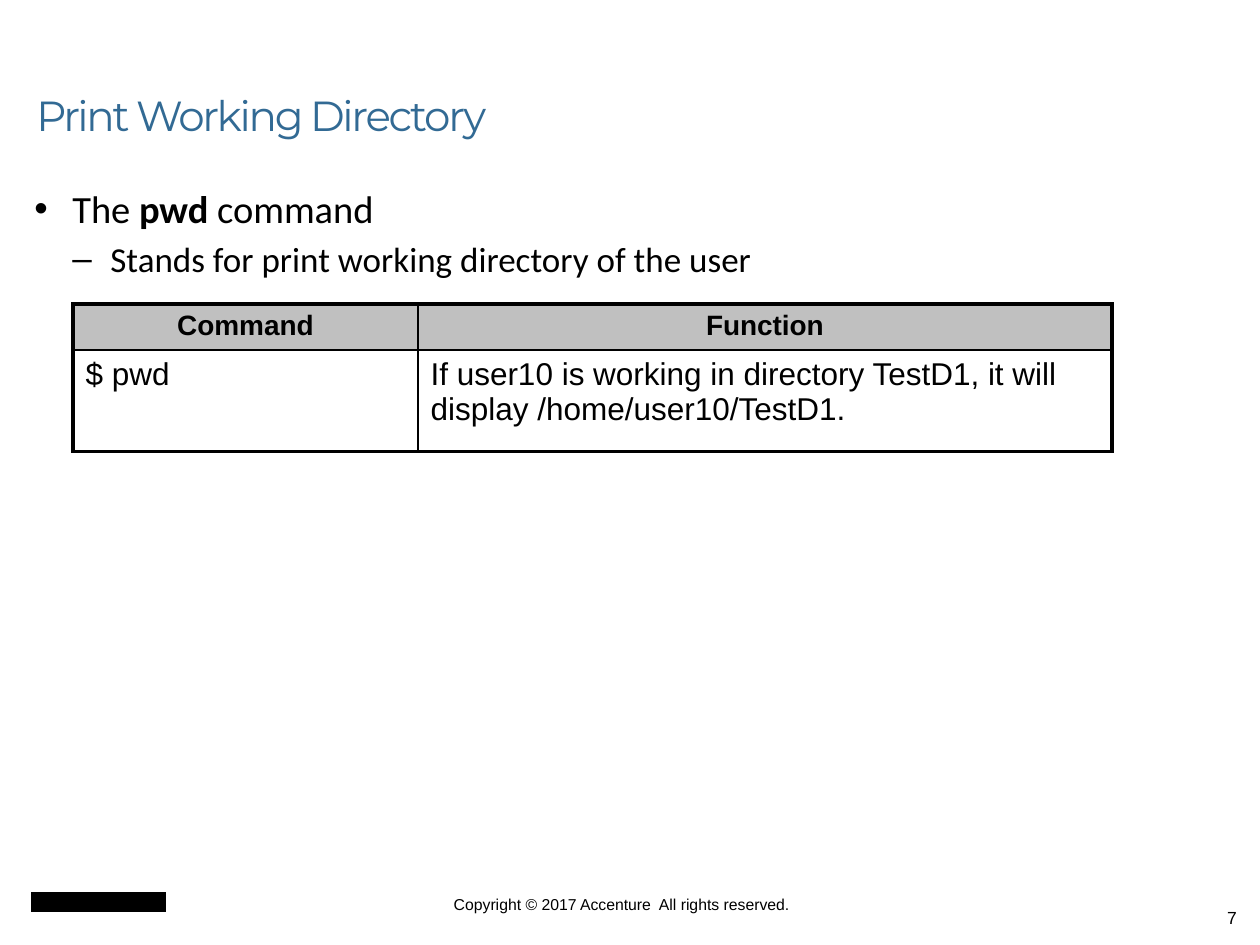
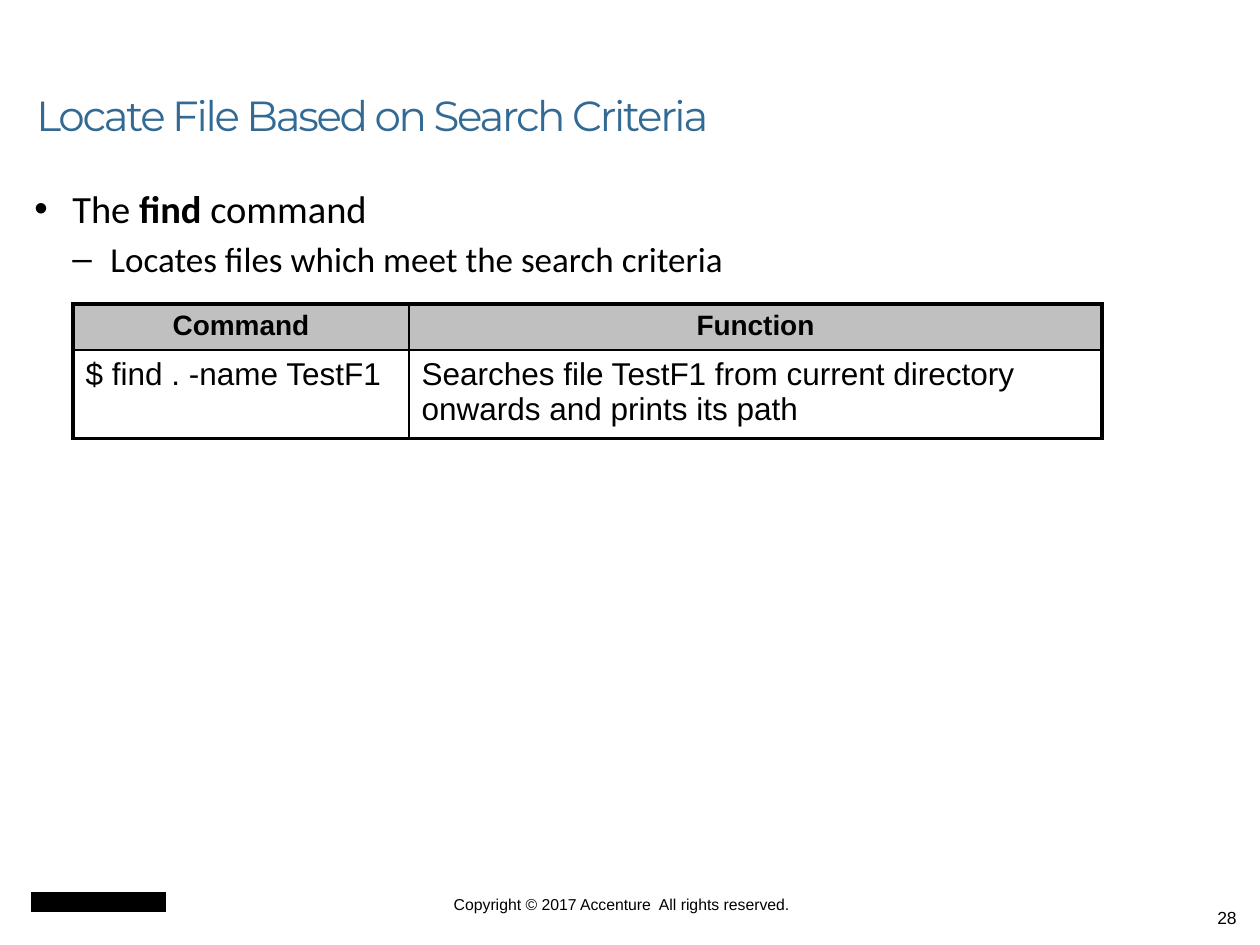
import dataclasses

import lxml.etree
import pptx
import pptx.dml.color
import pptx.enum.shapes
import pptx.enum.text
import pptx.oxml.ns
import pptx.util

PX = pptx.util.Inches(1) / 126
ALIGN = pptx.enum.text.PP_ALIGN
ANCHOR = pptx.enum.text.MSO_ANCHOR


@dataclasses.dataclass(frozen=True)
class Theme:
    ink: str = "000000"
    blue: str = "326A94"
    gray: str = "C0C0C0"
    head: str = "Montserrat"
    body: str = "Calibri"
    plain: str = "Arial"
    title: int = 24
    main: int = 22
    sub: int = 20
    cell: int = 18
    label: int = 16
    page: int = 10
    foot: int = 9
    thick: float = 2.25
    thin: float = 1


THEME = Theme()


def emu(px):
    return round(px * PX)


def color(code):
    return pptx.dml.color.RGBColor.from_string(code)


def node(parent, tag, **attrs):
    return lxml.etree.SubElement(parent, pptx.oxml.ns.qn(tag), attrs)


def write(para, text, size, font=THEME.plain, ink=THEME.ink, bold=False,
          align=ALIGN.LEFT, mark=None, level=0, before=0, line=None, track=None):
    """Fill a paragraph; parts of the text between asterisks are bold."""
    para.alignment = align
    para.level = level
    if before:
        para.space_before = pptx.util.Pt(before)
    if line:
        para.line_spacing = line
    if mark:
        props = para._p.get_or_add_pPr()
        props.set("marL", str(emu(38 * (level + 1))))
        props.set("indent", str(emu(-38)))
        node(props, "a:buFont", typeface=THEME.plain)
        node(props, "a:buChar", char=mark)
    for i, part in enumerate(text.split("*")):
        run = para.add_run()
        run.text = part
        run.font.size = pptx.util.Pt(size)
        run.font.name = font
        run.font.bold = bold or i % 2 == 1
        run.font.color.rgb = color(ink)
        if track:
            run._r.get_or_add_rPr().set("spc", str(round(track * 100)))


def box(slide, x, y, w, h, anchor=ANCHOR.TOP, inset=True):
    frame = slide.shapes.add_textbox(*map(emu, (x, y, w, h))).text_frame
    frame.word_wrap = True
    frame.vertical_anchor = anchor
    if not inset:
        frame.margin_left = frame.margin_right = 0
        frame.margin_top = frame.margin_bottom = 0
    return frame


def title(slide, text):
    frame = box(slide, 24, 21, 1124, 126, anchor=ANCHOR.BOTTOM)
    write(frame.paragraphs[0], text, THEME.title, font=THEME.head,
          ink=THEME.blue, line=0.9, track=-1.3)


def points(slide, lead, detail):
    frame = box(slide, 22, 179, 1174, 662)
    write(frame.paragraphs[0], lead, THEME.main, font=THEME.body, mark="•")
    write(frame.add_paragraph(), detail, THEME.sub, font=THEME.body,
          mark="–", level=1, before=3.5)


def footer(slide, page):
    logo = slide.shapes.add_shape(pptx.enum.shapes.MSO_SHAPE.RECTANGLE,
                                  *map(emu, (31, 892, 135, 20)))
    logo.shadow.inherit = False
    logo.fill.solid()
    logo.fill.fore_color.rgb = color(THEME.ink)
    logo.line.fill.background()
    note = box(slide, 347, 895, 549, 19, inset=False)
    write(note.paragraphs[0], "Copyright © 2017 Accenture  All rights reserved.",
          THEME.foot, align=ALIGN.CENTER)
    num = box(slide, 955, 901, 294, 44)
    write(num.paragraphs[0], str(page), THEME.page, align=ALIGN.RIGHT)


def border(cell, outer):
    """Draw thick lines on the outer sides and thin ones on the rest."""
    props = cell._tc.get_or_add_tcPr()
    for side in "LRTB":
        width = THEME.thick if side in outer else THEME.thin
        edge = node(props, f"a:ln{side}", w=str(pptx.util.Pt(width)))
        node(node(edge, "a:solidFill"), "a:srgbClr", val=THEME.ink)


def grid(slide, cols, rows, texts):
    shape = slide.shapes.add_table(
        len(rows), len(cols), *map(emu, (73, 304, sum(cols), sum(rows))))
    table = shape.table
    table.first_row = table.horz_banding = False
    for col, width in zip(table.columns, cols):
        col.width = emu(width)
    for r, height in enumerate(rows):
        table.rows[r].height = emu(height)
        for c, text in enumerate(texts[r]):
            cell = table.cell(r, c)
            border(cell, "TB"[r] + "LR"[c])
            para = cell.text_frame.paragraphs[0]
            if r == 0:
                cell.fill.solid()
                cell.fill.fore_color.rgb = color(THEME.gray)
                write(para, text, THEME.label, bold=True, align=ALIGN.CENTER)
            else:
                cell.fill.background()
                write(para, text, THEME.cell)


def lesson(deck, page, name, lead, detail, cols, depth, sample):
    slide = deck.slides.add_slide(deck.slide_layouts[6])
    footer(slide, page)
    title(slide, name)
    points(slide, lead, detail)
    grid(slide, cols, (45, depth), (("Command", "Function"), sample))


def main():
    deck = pptx.Presentation()
    deck.slide_width, deck.slide_height = emu(1260), emu(945)
    lesson(deck, 7, "Print Working Directory", "The *pwd* command",
           "Stands for print working directory of the user", (345, 694), 101,
           ("$ pwd", "If user10 is working in directory TestD1, "
                     "it will display /home/user10/TestD1."))
    lesson(deck, 28, "Locate File Based on Search Criteria", "The *find* command",
           "Locates files which meet the search criteria", (336, 693), 88,
           ("$ find . -name TestF1", "Searches file TestF1 from current "
                                     "directory onwards and prints its path"))
    deck.save("out.pptx")


if __name__ == "__main__":
    main()
